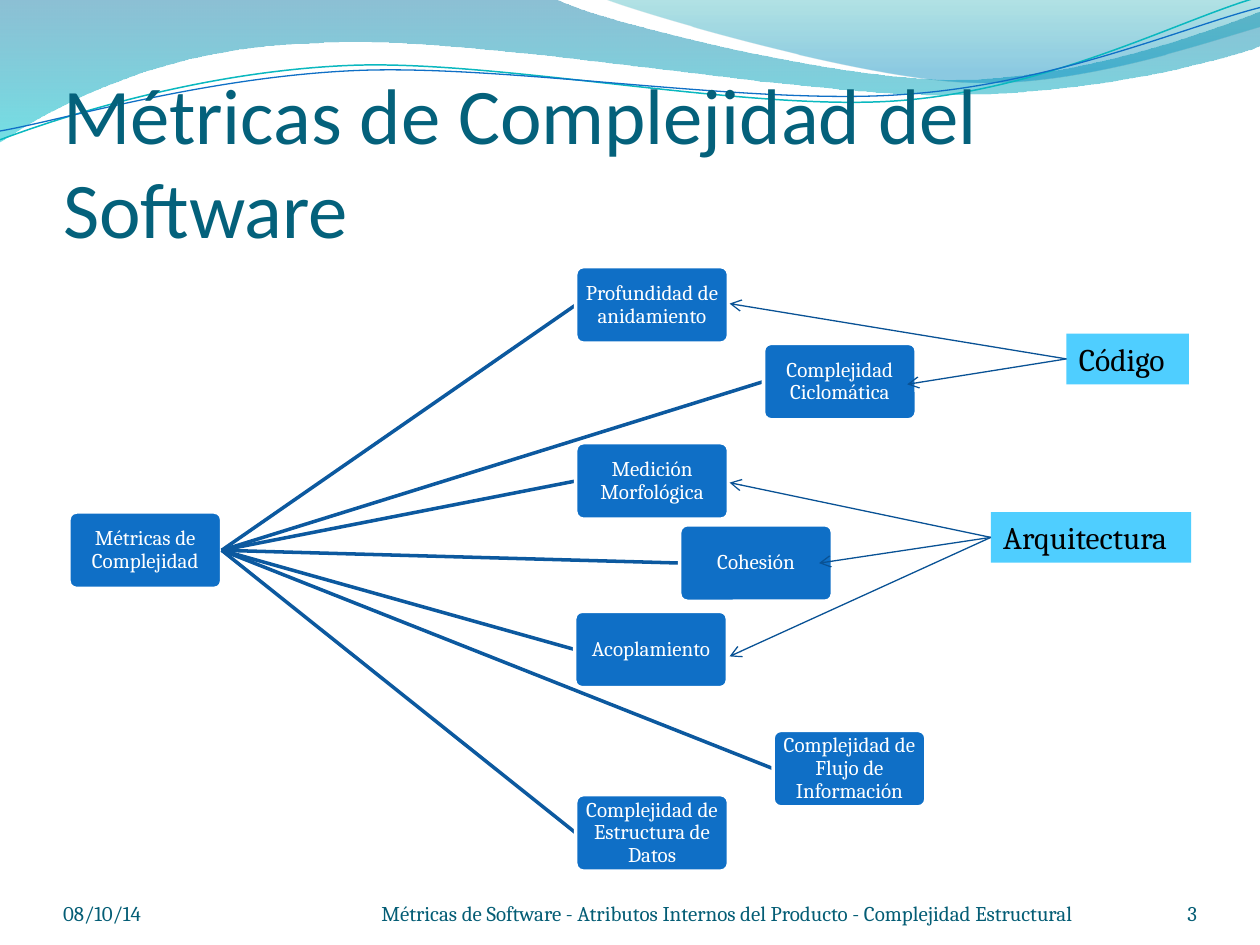
"""Build a slide that maps the software complexity metrics to code and architecture."""
from lxml import etree
from pptx import Presentation
from pptx.dml.color import RGBColor
from pptx.enum.shapes import MSO_CONNECTOR, MSO_SHAPE
from pptx.enum.text import MSO_ANCHOR, MSO_AUTO_SIZE, PP_ALIGN
from pptx.oxml import parse_xml
from pptx.oxml.ns import nsdecls, qn
from pptx.util import Pt

STRAIGHT = MSO_CONNECTOR.STRAIGHT
ROUNDED = MSO_SHAPE.ROUNDED_RECTANGLE
TOP, MIDDLE, BOTTOM = MSO_ANCHOR.TOP, MSO_ANCHOR.MIDDLE, MSO_ANCHOR.BOTTOM
LEFT, CENTER, RIGHT = PP_ALIGN.LEFT, PP_ALIGN.CENTER, PP_ALIGN.RIGHT
NO_AUTOFIT = MSO_AUTO_SIZE.NONE
WAVE_UNIT = Pt(0.72)
BOX_WIDTH, BOX_HEIGHT = 87.3, 43.7


def color(value):
    return RGBColor.from_string(value)


def write(shape, text, size, font, ink, alignment, anchor, margins, wrap=True):
    frame = shape.text_frame
    frame.auto_size = NO_AUTOFIT
    frame.word_wrap = wrap
    frame.vertical_anchor = anchor
    frame.margin_left = frame.margin_right = Pt(margins[0])
    frame.margin_top, frame.margin_bottom = Pt(margins[1]), Pt(margins[2])
    paragraph = frame.paragraphs[0]
    paragraph.alignment = alignment
    run = paragraph.add_run()
    run.text = text
    run.font.size = Pt(size)
    run.font.name = font
    run.font.color.rgb = color(ink)
    return paragraph


presentation = Presentation()
presentation.slide_width = Pt(720)
presentation.slide_height = Pt(540)
slide = presentation.slides.add_slide(presentation.slide_layouts[5])
shapes = slide.shapes
title = shapes.title

# Each segment holds one end point, or two control points and an end point.
waves = [
    ((0, 0), [[(440, -1)], [(476, 17), (664, 63), (758, 63)],
              [(853, 63), (958, 26), (1000, 9)], [(1001, 36)],
              [(983, 44), (870, 76), (746, 75)], [(622, 75), (382, 28), (257, 34)],
              [(129, 36), (46, 83), (-1, 113)]],
     [(0, "0074A1", 45), (100, "00C6CF", 55)], None),
    ((479, -1), [[(509, 11), (682, 62), (769, 65)], [(856, 69), (961, 32), (1000, 21)],
                 [(1000, 0)]],
     [(0, "00A1A9", 30), (80, "008BBF", 45)], None),
    ((0, 111), [[(48, 93), (158, 57), (277, 52)], [(395, 47), (593, 89), (713, 80)],
                [(833, 71), (938, 15), (998, -2)]], None, ("0AB8BF", 0.85)),
    ((0, 104), [[(47, 96), (164, 61), (283, 56)], [(403, 51), (597, 84), (717, 75)],
                [(836, 67), (941, 21), (1000, 6)]], None, ("0F6FC6", 0.75)),
]
for start, segments, stops, stroke in waves:
    builder = shapes.build_freeform(*start, scale=WAVE_UNIT)
    builder.add_line_segments([point for segment in segments for point in segment],
                              close=stops is not None)
    wave = builder.convert_to_shape()
    line_steps = iter(list(wave._element.iter(qn("a:lnTo"))))
    for segment in segments:
        steps = [next(line_steps) for point in segment]
        if len(steps) == 3:
            curve = etree.Element(qn("a:cubicBezTo"))
            steps[0].addprevious(curve)
            for step in steps:
                curve.append(step[0])
                step.getparent().remove(step)
    wave.shadow.inherit = False
    wave.fill.background()
    if stops:
        wave.line.fill.background()
        stop_xml = "".join(
            f'<a:gs pos="{position * 1000}"><a:srgbClr val="{value}">'
            f'<a:alpha val="{opacity * 1000}"/></a:srgbClr></a:gs>'
            for position, value, opacity in stops)
        gradient = parse_xml(f'<a:gradFill {nsdecls("a")} rotWithShape="1"><a:gsLst>{stop_xml}'
                             '</a:gsLst><a:lin ang="5400000" scaled="0"/></a:gradFill>')
        properties = wave._element.spPr
        properties.replace(properties.find(qn("a:noFill")), gradient)
    else:
        wave.line.color.rgb = color(stroke[0])
        wave.line.width = Pt(stroke[1])

title.left, title.top, title.width, title.height = Pt(36), Pt(55.5), Pt(648), Pt(90)
write(title, "Métricas de Complejidad del Software", 45, "Calibri", "04617B",
      LEFT, BOTTOM, (0, 3.6, 0))
shapes._spTree.append(title._element)

metrics = [
    ("Métricas de Complejidad", 39.4, 292.6),
    ("Profundidad de anidamiento", 329, 152.4),
    ("Complejidad Ciclomática", 436.3, 196.2),
    ("Medición Morfológica", 329, 253),
    ("Cohesión", 388.4, 299.9),
    ("Acoplamiento", 328.4, 349.3),
    ("Complejidad de Flujo de Información", 441.8, 417.4),
    ("Complejidad de Estructura de Datos", 329, 454.1),
]
root_x = metrics[0][1] + BOX_WIDTH
root_y = metrics[0][2] + BOX_HEIGHT / 2

for index, (name, left, top) in enumerate(metrics):
    if index:
        link = shapes.add_connector(STRAIGHT, Pt(root_x), Pt(root_y),
                                    Pt(left), Pt(top + BOX_HEIGHT / 2))
        link.line.color.rgb = color("0C599F")
        link.line.width = Pt(2)
        etree.SubElement(link._element.spPr, qn("a:effectLst"))
    box = shapes.add_shape(ROUNDED, Pt(left), Pt(top), Pt(BOX_WIDTH), Pt(BOX_HEIGHT))
    box.adjustments[0] = 0.1
    box.shadow.inherit = False
    box.fill.solid()
    box.fill.fore_color.rgb = color("0F6FC6")
    box.line.color.rgb = color("FFFFFF")
    box.line.width = Pt(2)
    paragraph = write(box, name, 12, "Cambria", "FFFFFF", CENTER, MIDDLE, (1, 1, 1))
    paragraph.line_spacing = 0.9

sources = [
    ("Código", 609.4, 190.6, 70, [(416.9, 173.5), (518.4, 219.6)]),
    ("Arquitectura", 566.2, 292.6, 114.5, [(416.9, 275.8), (468, 321.8), (416.9, 375.1)]),
]
for name, left, top, width, targets in sources:
    label = shapes.add_textbox(Pt(left), Pt(top), Pt(width), Pt(29))
    label.fill.solid()
    label.fill.fore_color.rgb = color("4FCEFF")
    write(label, name, 18, "Cambria", "000000", LEFT, TOP, (7.2, 3.6, 3.6), wrap=False)
    for x, y in targets:
        arrow = shapes.add_connector(STRAIGHT, Pt(left), Pt(top + 14.5), Pt(x), Pt(y))
        arrow.line.color.rgb = color("095295")
        arrow.line.width = Pt(0.75)
        etree.SubElement(arrow.line._get_or_add_ln(), qn("a:tailEnd"), type="arrow")
        etree.SubElement(arrow._element.spPr, qn("a:effectLst"))

footers = [
    ("08/10/14", 36, 168, LEFT),
    ("Métricas de Software - Atributos Internos del Producto - Complejidad Estructural",
     210, 411, CENTER),
    ("3", 624, 60, RIGHT),
]
for text, left, width, alignment in footers:
    footer = shapes.add_textbox(Pt(left), Pt(500.4), Pt(width), Pt(28.8))
    write(footer, text, 12, "Cambria", "045D75", alignment, BOTTOM, (0, 0, 0))

presentation.save("out.pptx")
